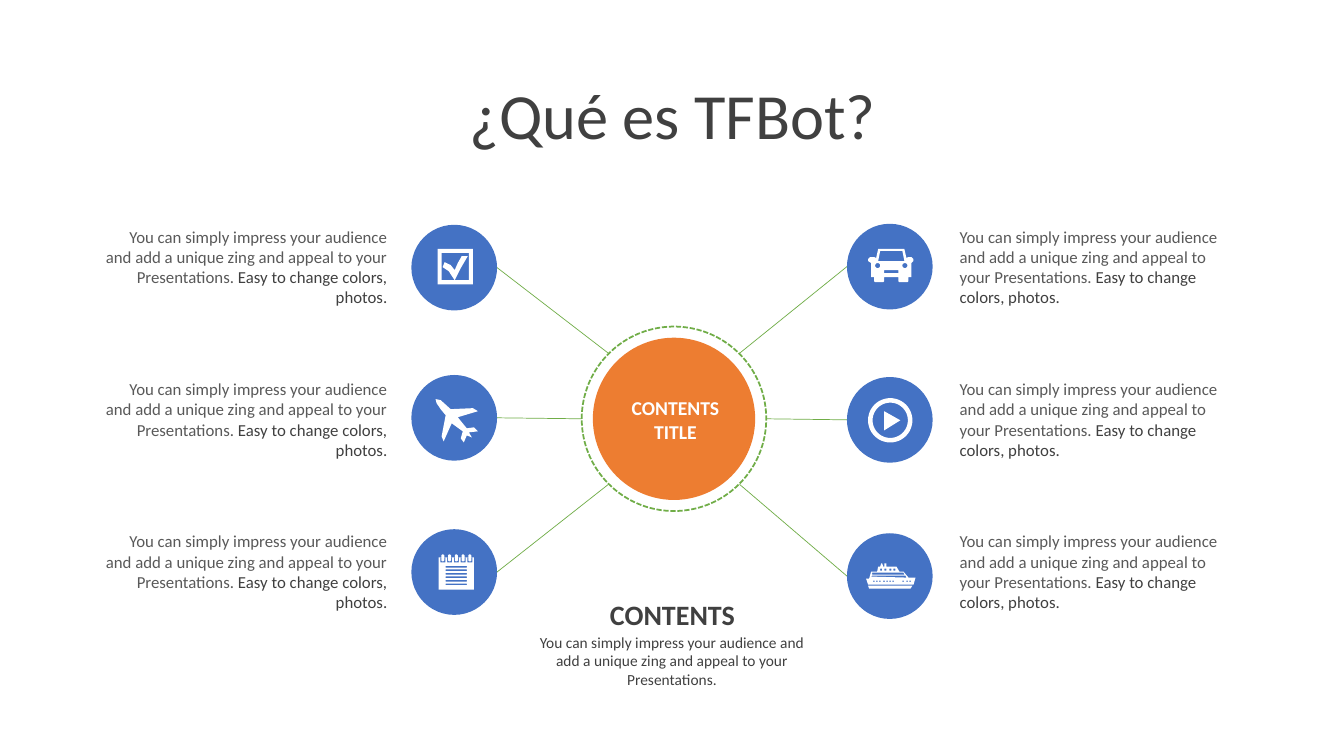
import math

from lxml import etree
from pptx import Presentation
from pptx import util as u
from pptx.dml.color import RGBColor
from pptx.enum import dml, shapes, text
from pptx.oxml import ns

PX = 9144  # 100 px to the inch
FONT = "Calibri"
BLUE = RGBColor(0x44, 0x72, 0xC4)
ORANGE = RGBColor(0xED, 0x7D, 0x31)
GREEN = RGBColor(0x70, 0xAD, 0x47)
WHITE = RGBColor(0xFF, 0xFF, 0xFF)
GREY = RGBColor(0x59, 0x59, 0x59)
DARK = RGBColor(0x40, 0x40, 0x40)

PITCH = "You can simply impress your audience and add a unique zing and appeal to your Presentations."
EASY = " Easy to change colors, photos."
NODE = 85
RING = 183
DIAGONAL = 65  # ring radius projected at 45 degrees


def px(*lengths):
    return [u.Emu(round(length * PX)) for length in lengths]


# Contours for the icons, in px from each icon's top left corner
def rect(left, top, width, height):
    right, bottom = left + width, top + height
    return [(left, top), (right, top), (right, bottom), (left, bottom)]


def disc(x, y, radius, steps=48):
    angles = [2 * math.pi * step / steps for step in range(steps)]
    return [(x + radius * math.cos(a), y + radius * math.sin(a)) for a in angles]


def spiral_ring(x):
    return [(x - 1.5, 1), (x - 0.5, 0), (x + 0.5, 0), (x + 1.5, 1),
            (x + 1.5, 6), (x + 0.5, 7), (x - 0.5, 7), (x - 1.5, 6)]


RING_CENTRES = [4.2 + 6.7 * i for i in range(5)]
CHECKBOX = [
    rect(0, 0, 35, 35),
    [(4, 4), (4, 31), (17, 31), (11, 22), (5, 18), (7, 13), (13, 16), (17, 21),
     (20, 14), (24, 7), (30, 7), (23, 19), (17, 31), (31, 31), (31, 4)],
]
PLANE = [
    [(42, 32), (33, 33), (36, 38), (31, 36), (28, 43), (25, 39), (27, 32),
     (16, 24), (8, 42), (6, 37), (10, 16), (5, 10), (1, 4), (0, 0), (5, 1),
     (15, 10), (37, 9), (42, 12), (22, 18), (31, 29), (38, 28)],
]
NOTEPAD = [
    rect(0, 3, 35, 32),
    *[rect(7, 11.4 + 3.5 * i, 21, 1.7) for i in range(6)],
    *[rect(x - 2.5, 3, 5, 5) for x in RING_CENTRES],
    *[spiral_ring(x) for x in RING_CENTRES],
]
CAR = [
    [(10, 0), (36, 0), (38, 9), (40, 8), (43, 8), (45, 10), (45, 12), (43, 14),
     (43, 28), (40, 28), (40, 32), (39, 33), (31, 33), (30, 32), (30, 28),
     (16, 28), (16, 32), (15, 33), (7, 33), (6, 32), (6, 28), (3, 28), (3, 14),
     (0, 12), (0, 10), (2, 8), (6, 8), (8, 9)],
    [(12, 2), (10, 12), (36, 12), (34, 2)],
    disc(9.5, 16.5, 2.5), disc(36.5, 16.5, 2.5), rect(16, 21, 14, 3),
]
PLAY = [
    disc(22, 22, 22), disc(22, 22, 17.5), [(16, 13), (32, 22), (16, 32)],
]
SHIP = [
    [(2, 22), (46, 22), (44, 25), (3, 25)],
    [(18, 0), (20, 0), (20, 3), (30, 3), (33, 8), (37, 8), (42, 14), (49, 14),
     (47, 21), (2, 21), (0, 15), (3, 15), (5, 8), (11, 8), (12, 3), (14, 3),
     (15, 0), (16, 0), (17, 3), (18, 3)],
    *[rect(x, 17, 1.5, 1.3) for x in (7, 10, 13, 17, 20, 23, 26, 36, 40, 43)],
    [(6, 12), (5, 13), (40, 14), (39, 12)],
    [(6, 9), (6, 11), (38, 11), (37, 9)],
    *[rect(x, 5, 2, 2) for x in (14, 18, 23, 27)],
]

# (node top, icon, icon offset in the node) from top to bottom
LEFT_NODES = [(223, CHECKBOX, (26, 24)), (372, PLANE, (24, 24)), (525, NOTEPAD, (27, 25))]
RIGHT_NODES = [(222, CAR, (21, 25)), (374, PLAY, (21, 21)), (529, SHIP, (19, 30))]


def add_text(slide, box, paragraphs, size, align, color=DARK, bold=False, inset=True):
    """Each paragraph is a list of (wording, colour) runs."""
    frame = slide.shapes.add_textbox(*px(*box)).text_frame
    frame.word_wrap = True
    frame.auto_size = text.MSO_AUTO_SIZE.SHAPE_TO_FIT_TEXT
    if not inset:
        frame.margin_left = frame.margin_right = frame.margin_top = frame.margin_bottom = 0
    for index, runs in enumerate(paragraphs):
        paragraph = frame.add_paragraph() if index else frame.paragraphs[0]
        paragraph.alignment = align
        font = paragraph.font
        font.name, font.size, font.bold = FONT, u.Pt(size), bold
        for wording, run_color in runs:
            run = paragraph.add_run()
            run.text = wording
            run.font.color.rgb = run_color or color


def add_circle(slide, left, top, diameter, fill):
    circle = slide.shapes.add_shape(shapes.MSO_SHAPE.OVAL, *px(left, top, diameter, diameter))
    circle.shadow.inherit = False
    if fill is None:
        circle.fill.background()
    else:
        circle.fill.solid()
        circle.fill.fore_color.rgb = fill
    circle.line.fill.background()
    return circle


def add_spoke(slide, start, end):
    line = slide.shapes.add_connector(shapes.MSO_CONNECTOR.STRAIGHT, *px(*start, *end))
    line.line.color.rgb = GREEN
    line.line.width = u.Pt(0.5)
    etree.SubElement(line._element.spPr, ns.qn("a:effectLst"))


def add_icon(slide, left, top, contours):
    builder = None
    for contour in contours:
        points = [px(*point) for point in contour]
        if builder is None:
            builder = slide.shapes.build_freeform(*points[0])
        else:
            builder.move_to(*points[0])
        builder.add_line_segments(points[1:], close=True)
    icon = builder.convert_to_shape(*px(left, top))
    icon.shadow.inherit = False
    icon.fill.solid()
    icon.fill.fore_color.rgb = WHITE
    icon.line.fill.background()


def add_title(slide, box):
    title = slide.shapes.title
    title.left, title.top, title.width, title.height = px(*box)
    frame = title.text_frame
    frame.text = "¿Qué es TFBot?"
    frame.auto_size = text.MSO_AUTO_SIZE.NONE
    frame.vertical_anchor = text.MSO_ANCHOR.MIDDLE
    paragraph = frame.paragraphs[0]
    paragraph.alignment = text.PP_ALIGN.CENTER
    paragraph.space_before = u.Pt(9)
    paragraph.font.name, paragraph.font.size = FONT, u.Pt(46)
    paragraph.font.color.rgb = DARK


def add_hub(slide, left, top):
    add_circle(slide, left + 11, top + 11, RING - 22, ORANGE)
    ring = add_circle(slide, left, top, RING, None)
    ring.line.color.rgb = GREEN
    ring.line.width = u.Pt(1.25)
    ring.line.dash_style = dml.MSO_LINE.SQUARE_DOT
    add_text(slide, (left + 15, top + 64, 156, 57), [[("CONTENTS", None)], [("TITLE", None)]],
             14, text.PP_ALIGN.CENTER, WHITE, bold=True)


def add_branch(slide, nodes, node_left, text_left, text_width, side, hub_centre):
    """side is -1 for the left branch and 1 for the right one."""
    align = text.PP_ALIGN.RIGHT if side < 0 else text.PP_ALIGN.LEFT
    for row, (top, icon, (dx, dy)) in enumerate(nodes):
        add_text(slide, (text_left, 220 + 151 * row, text_width, 91),
                 [[(PITCH, GREY), (EASY, DARK)]], 12, align)
        add_circle(slide, node_left, top, NODE, BLUE)
        add_icon(slide, node_left + dx, top + dy, icon)
        inner_edge = node_left + (NODE if side < 0 else 0)
        reach = RING / 2 if row == 1 else DIAGONAL
        ring_point = (hub_centre[0] + side * reach, hub_centre[1] + (row - 1) * DIAGONAL)
        add_spoke(slide, (inner_edge, top + NODE / 2), ring_point)


def add_caption(slide, left, top, width):
    centre = text.PP_ALIGN.CENTER
    add_text(slide, (left, top, width, 34), [[("CONTENTS", None)]], 20, centre,
             bold=True, inset=False)
    add_text(slide, (left + 1, top + 35, width - 3, 56), [[(PITCH, None)]], 11, centre,
             inset=False)


def main():
    presentation = Presentation()
    presentation.slide_width, presentation.slide_height = px(1333, 750)
    slide = presentation.slides.add_slide(presentation.slide_layouts[5])
    hub_left, hub_top = 577, 324
    hub_centre = (hub_left + RING / 2, hub_top + RING / 2)
    add_title(slide, (92, 40, 1150, 145))
    add_branch(slide, LEFT_NODES, 408, 95, 299, -1, hub_centre)
    add_branch(slide, RIGHT_NODES, 840, 942, 297, 1, hub_centre)
    add_hub(slide, hub_left, hub_top)
    add_caption(slide, 528, 593, 278)
    presentation.save("out.pptx")


if __name__ == "__main__":
    main()
